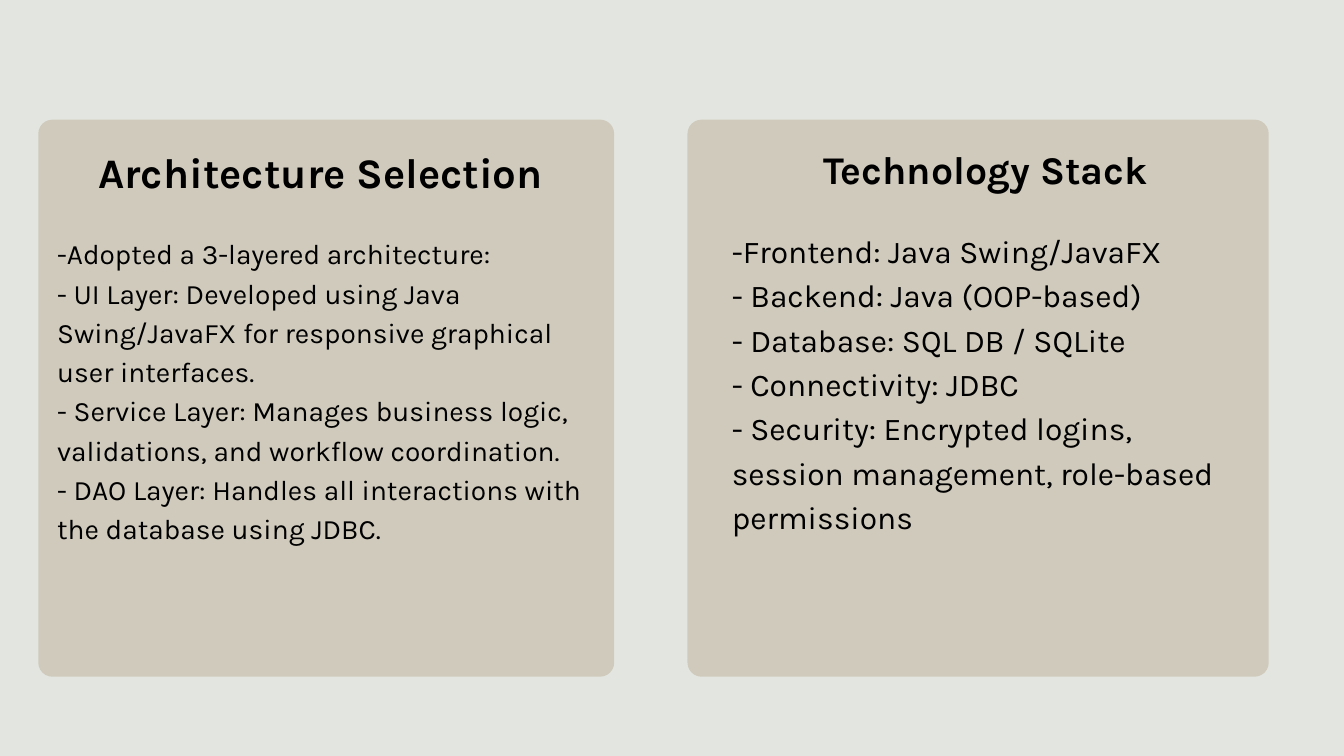
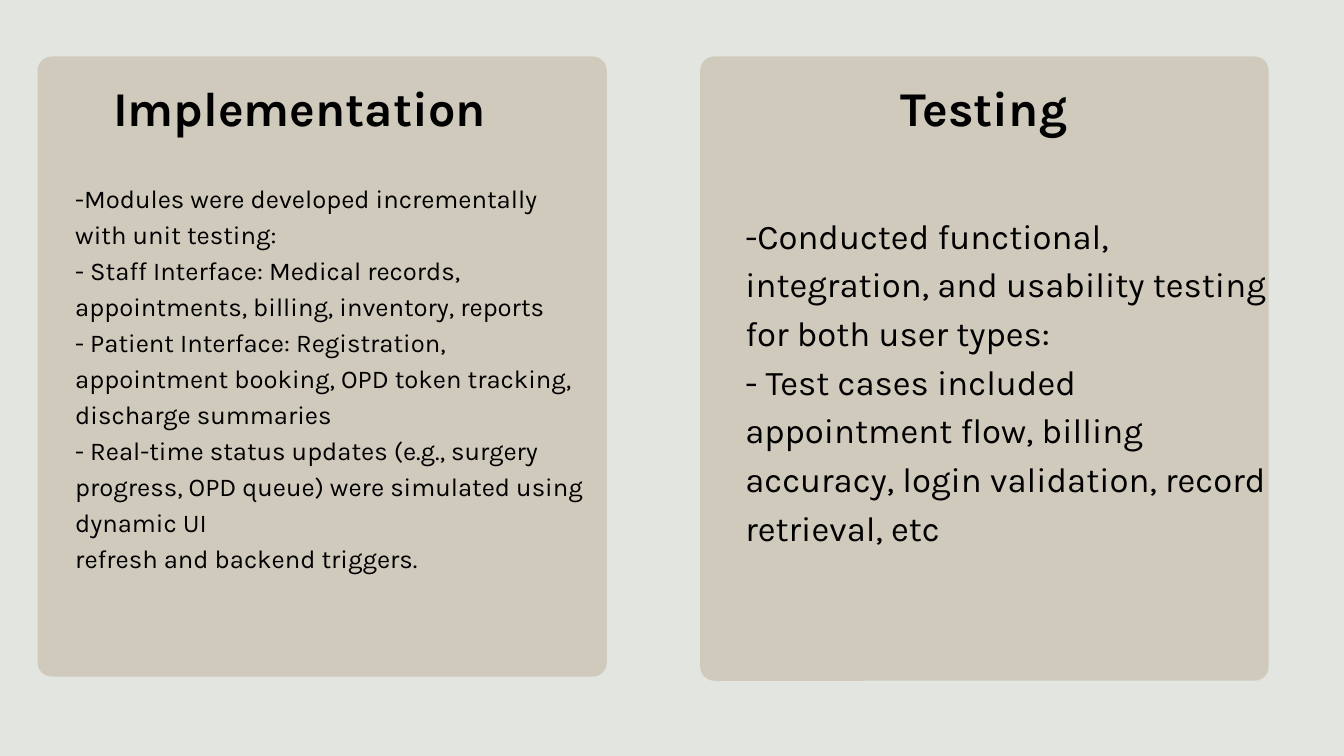
import pptx
import pptx.dml.color
import pptx.enum.shapes
import pptx.enum.text
import pptx.oxml.ns
import lxml.etree
from pptx.util import Inches

FONT = "Karla"
BACKGROUND = "E3E6E0"
CARD = "C0B3A0"
CARD_OPACITY = 54
TEXT = "000000"
CORNER_RADIUS = 0.21
LINE_FACTOR = 1.4

ARCHITECTURE = [
    "-Adopted a 3-layered architecture:",
    "- UI Layer: Developed using Java Swing/JavaFX for responsive graphical user interfaces.",
    "- Service Layer: Manages business logic, validations, and workflow coordination.",
    "- DAO Layer: Handles all interactions with the database using JDBC.",
]
TECHNOLOGY = [
    "-Frontend: Java Swing/JavaFX",
    "- Backend: Java (OOP-based)",
    "- Database: SQL DB / SQLite",
    "- Connectivity: JDBC",
    "- Security: Encrypted logins, session management, role-based permissions",
]
IMPLEMENTATION = [
    "-Modules were developed incrementally with unit testing:",
    "- Staff Interface: Medical records, appointments, billing, inventory, reports",
    "- Patient Interface: Registration, appointment booking, OPD token tracking, discharge summaries",
    "- Real-time status updates (e.g., surgery progress, OPD queue) were simulated using dynamic UI",
    "refresh and backend triggers.",
]
TESTING = [
    "-Conducted functional, integration, and usability testing for both user types:",
    "- Test cases included appointment flow, billing accuracy, login validation, record retrieval, etc",
]


def set_fill(fill, color, opacity=100):
    fill.solid()
    fill.fore_color.rgb = pptx.dml.color.RGBColor.from_string(color)
    if opacity < 100:
        color_element = fill._xPr.find(".//" + pptx.oxml.ns.qn("a:srgbClr"))
        alpha = lxml.etree.SubElement(color_element, pptx.oxml.ns.qn("a:alpha"))
        alpha.set("val", str(opacity * 1000))


def add_slide(presentation):
    slide = presentation.slides.add_slide(presentation.slide_layouts[6])
    set_fill(slide.background.fill, BACKGROUND)
    return slide


def add_card(slide, box):
    shape = slide.shapes.add_shape(
        pptx.enum.shapes.MSO_SHAPE.ROUNDED_RECTANGLE, *map(Inches, box))
    shape.adjustments[0] = CORNER_RADIUS / min(box[2:])
    shape.shadow.inherit = False
    shape.line.fill.background()
    set_fill(shape.fill, CARD, CARD_OPACITY)


def add_text(slide, box, lines, size, bold=False, centred=False):
    text_frame = slide.shapes.add_textbox(*map(Inches, box)).text_frame
    text_frame.word_wrap = True
    text_frame.margin_left = text_frame.margin_right = 0
    text_frame.margin_top = text_frame.margin_bottom = 0
    text_frame.text = "\n".join(lines)
    alignment = pptx.enum.text.PP_ALIGN
    for paragraph in text_frame.paragraphs:
        paragraph.alignment = alignment.CENTER if centred else alignment.LEFT
        paragraph.line_spacing = pptx.util.Pt(round(size * LINE_FACTOR, 1))
        for run in paragraph.runs:
            run.font.name = FONT
            run.font.size = pptx.util.Pt(size)
            run.font.bold = bold
            set_fill(run.font.fill, TEXT)


def add_topic(slide, card, title, title_box, title_size, lines, body_box, body_size):
    add_card(slide, card)
    add_text(slide, title_box, [title], title_size, bold=True, centred=True)
    add_text(slide, body_box, lines, body_size)


def main():
    presentation = pptx.Presentation()
    presentation.slide_width = Inches(20)
    presentation.slide_height = Inches(11.25)

    design = add_slide(presentation)
    add_topic(design, (0.57, 1.78, 8.57, 8.29),
              "Architecture Selection ", (1.12, 2.05, 7.46, 0.83), 45,
              ARCHITECTURE, (0.85, 3.44, 8.02, 5.8), 30.1)
    add_topic(design, (10.23, 1.78, 8.65, 8.29),
              "Technology Stack", (12.17, 2.05, 4.99, 0.78), 42,
              TECHNOLOGY, (10.89, 3.35, 7.33, 5.88), 34)

    delivery = add_slide(presentation)
    add_topic(delivery, (0.56, 0.84, 8.47, 9.23),
              "Implementation", (1.61, 1.02, 5.7, 0.97), 52,
              IMPLEMENTATION, (1.12, 2.65, 7.57, 6.35), 27.5)
    add_topic(delivery, (10.42, 0.84, 8.46, 9.29),
              "Testing", (13.38, 1.02, 2.53, 0.97), 52,
              TESTING, (11.09, 3.09, 7.79, 6.45), 37.2)

    presentation.save("out.pptx")


if __name__ == "__main__":
    main()
